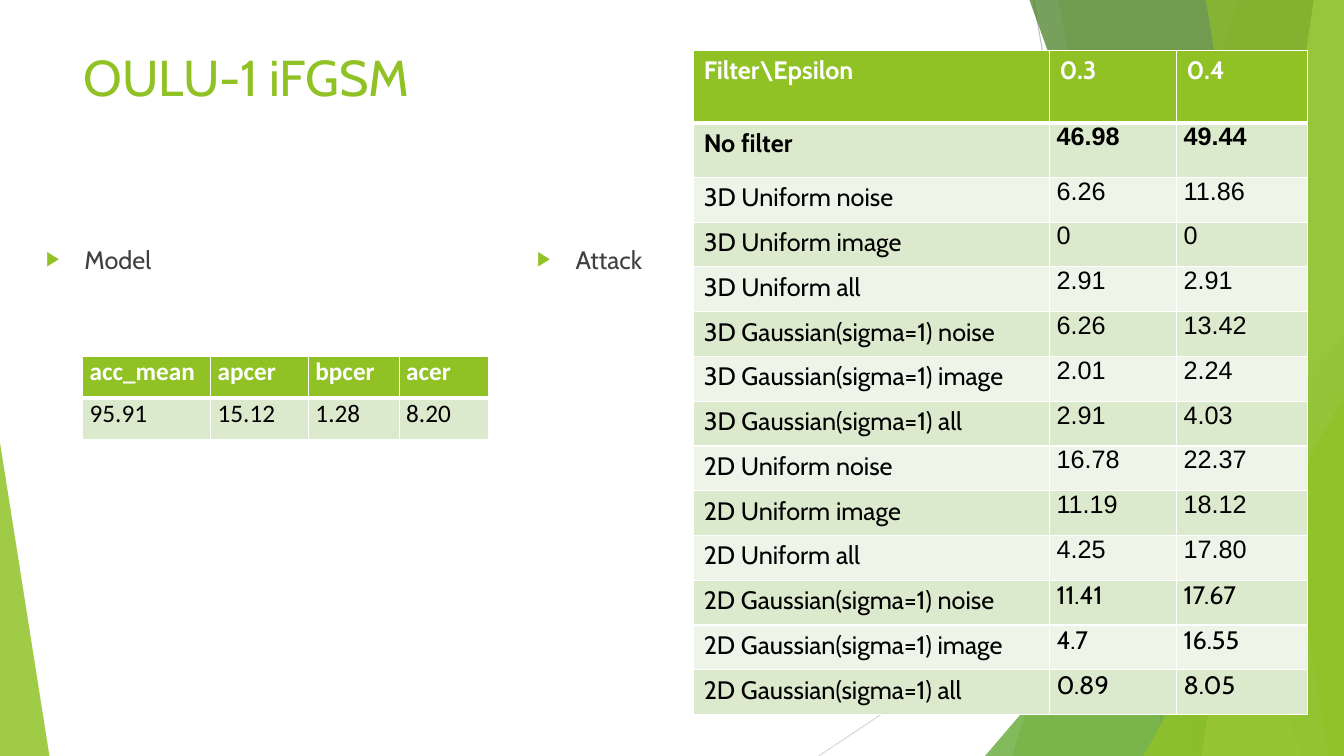
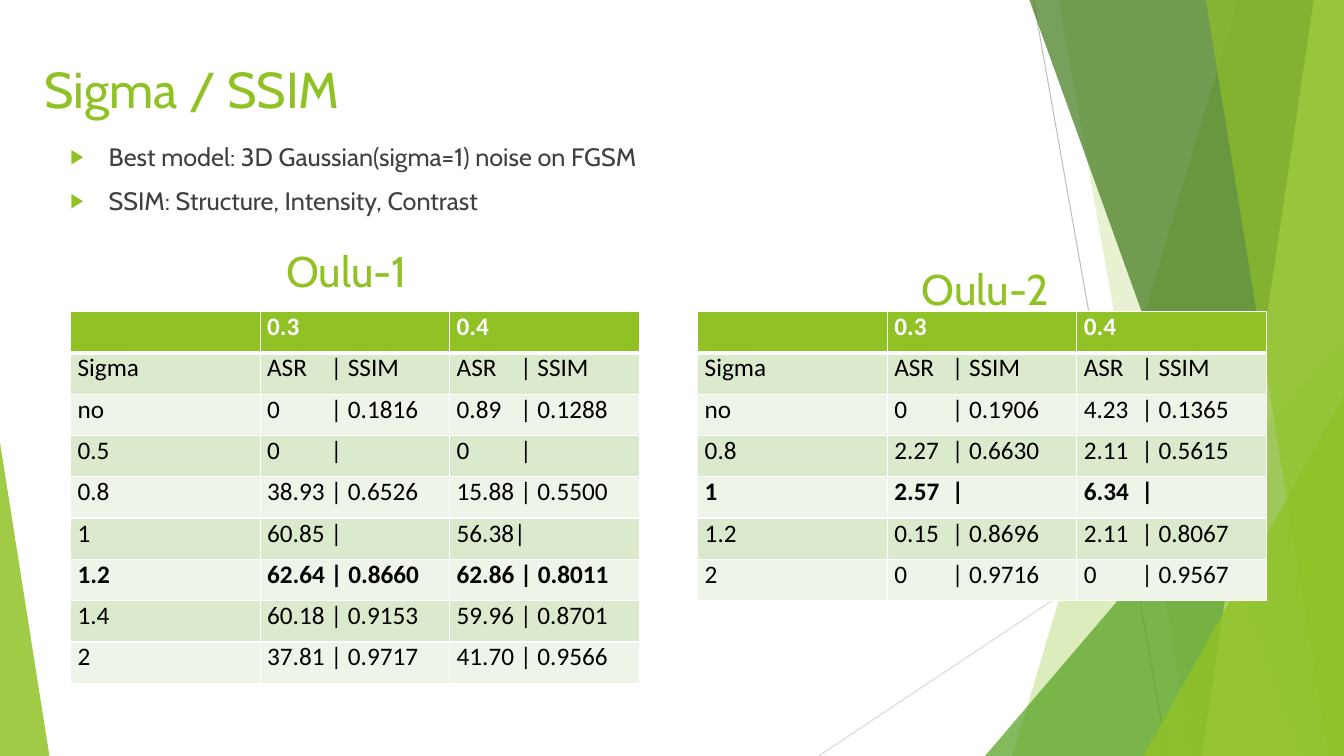
from lxml.etree import SubElement
from pptx import Presentation
from pptx.dml.color import RGBColor
from pptx.enum.shapes import MSO_CONNECTOR, MSO_SHAPE
from pptx.enum.text import MSO_ANCHOR, MSO_AUTO_SIZE, PP_ALIGN
from pptx.oxml.ns import qn
from pptx.util import Inches, Pt

STRAIGHT = MSO_CONNECTOR.STRAIGHT
TRIANGLE = MSO_SHAPE.ISOSCELES_TRIANGLE
TOP = MSO_ANCHOR.TOP
LEFT = PP_ALIGN.LEFT
NO_FIT = MSO_AUTO_SIZE.NONE

SLIDE_WIDTH, SLIDE_HEIGHT = 13.33, 7.5
TITLE_ONLY = 5
HEADING_FONT, TABLE_FONT, NUMBER_FONT = "Cabin", "Calibri", "Arial"
COLORS = {
    "accent": "90C226",
    "leaf": "54A021",
    "forest": "3F7819",
    "lime": "C0E474",
    "text": "404040",
    "black": "000000",
    "white": "FFFFFF",
    "band_dark": "DBE9CD",
    "band_light": "EEF4E8",
    "line_dark": "BFBFBF",
    "line_light": "D9D9D9",
}
ROOMY, TIGHT = (0.1, 0.05), (0.07, 0)

FILTER_ROWS = [
    ("Filter\\Epsilon", "0.3", "0.4"),
    ("No filter", "46.98", "49.44"),
    ("3D Uniform noise", "6.26", "11.86"),
    ("3D Uniform image", "0", "0"),
    ("3D Uniform all", "2.91", "2.91"),
    ("3D Gaussian(sigma=1) noise", "6.26", "13.42"),
    ("3D Gaussian(sigma=1) image", "2.01", "2.24"),
    ("3D Gaussian(sigma=1) all", "2.91", "4.03"),
    ("2D Uniform noise", "16.78", "22.37"),
    ("2D Uniform image", "11.19", "18.12"),
    ("2D Uniform all", "4.25", "17.80"),
    ("2D Gaussian(sigma=1) noise", "11.41", "17.67"),
    ("2D Gaussian(sigma=1) image", "4.7", "16.55"),
    ("2D Gaussian(sigma=1) all", "0.89", "8.05"),
]
MODEL_ROWS = [
    ("acc_mean", "apcer", "bpcer", "acer"),
    ("95.91", "15.12", "1.28", "8.20"),
]
SIGMA_HEAD = [("", "0.3", "0.4"), ("Sigma", "ASR\t| SSIM", "ASR\t| SSIM")]
OULU_1_ROWS = SIGMA_HEAD + [
    ("no", "0\t| 0.1816", "0.89\t| 0.1288"),
    ("0.5", "0\t|", "0\t|"),
    ("0.8", "38.93\t| 0.6526", "15.88\t| 0.5500"),
    ("1", "60.85\t|", "56.38|"),
    ("1.2", "62.64\t| 0.8660", "62.86\t| 0.8011"),
    ("1.4", "60.18\t| 0.9153", "59.96\t| 0.8701"),
    ("2", "37.81\t| 0.9717", "41.70\t| 0.9566"),
]
OULU_2_ROWS = SIGMA_HEAD + [
    ("no", "0\t| 0.1906", "4.23\t| 0.1365"),
    ("0.8", "2.27\t| 0.6630", "2.11\t| 0.5615"),
    ("1", "2.57\t|", "6.34\t|"),
    ("1.2", "0.15\t| 0.8696", "2.11\t| 0.8067"),
    ("2", "0\t| 0.9716", "0\t| 0.9567"),
]


def color(name):
    return RGBColor.from_string(COLORS[name])


def inches(box):
    return [Inches(length) for length in box]


def add_span(para, text, size, font, ink, bold=False):
    span = para.add_run()
    span.text = text
    span.font.size = Pt(size)
    span.font.name = font
    span.font.bold = bold
    span.font.color.rgb = color(ink)


def paint(shape, ink, opacity):
    shape.shadow.inherit = False
    shape.fill.solid()
    shape.fill.fore_color.rgb = color(ink)
    shape.line.fill.background()
    fill_color = next(shape.element.iter(qn("a:srgbClr")))
    SubElement(fill_color, qn("a:alpha")).set("val", str(opacity * 1000))


def draw_line(group, start, end, ink):
    line = group.shapes.add_connector(STRAIGHT, *inches(start + end))
    line.line.width = Pt(0.75)
    line.line.color.rgb = color(ink)
    SubElement(line.element.spPr, qn("a:effectLst"))


def draw_slab(group, top_x, bottom_x, ink, opacity):
    outline = group.shapes.build_freeform(Inches(top_x), 0)
    corners = [(SLIDE_WIDTH, 0), (SLIDE_WIDTH, SLIDE_HEIGHT), (bottom_x, SLIDE_HEIGHT)]
    outline.add_line_segments([inches(corner) for corner in corners], close=True)
    paint(outline.convert_to_shape(), ink, opacity)


def draw_triangle(group, left, top, width, apex, ink, opacity):
    box = inches((left, top, width, SLIDE_HEIGHT - top))
    triangle = group.shapes.add_shape(TRIANGLE, *box)
    triangle.adjustments[0] = apex
    paint(triangle, ink, opacity)


def decorate_layout(layout, page):
    for holder in list(layout.placeholders)[1:]:
        holder.element.getparent().remove(holder.element)
    group = page.shapes.add_group_shape()
    draw_line(group, (10.25, 0), (11.58, SLIDE_HEIGHT), "line_dark")
    draw_line(group, (SLIDE_WIDTH, 4.03), (8.12, SLIDE_HEIGHT), "line_light")
    draw_slab(group, 12.28, 10.04, "accent", 30)
    draw_slab(group, 10.5, 11.83, "accent", 20)
    draw_triangle(group, 9.77, 3.33, 3.56, 1, "leaf", 72)
    draw_slab(group, 10.21, 12.91, "forest", 70)
    draw_slab(group, 13.03, 11.92, "lime", 70)
    draw_slab(group, 11.96, 13.18, "accent", 65)
    draw_triangle(group, 11.34, 3.93, 1.99, 1, "accent", 80)
    draw_triangle(group, 0, 4.39, 0.49, 0, "accent", 85)
    layout.shapes.element.insert(2, group.element)


def set_title(page, box, text):
    title = page.shapes.title
    title.left, title.top, title.width, title.height = inches(box)
    frame = title.text_frame
    frame.auto_size = NO_FIT
    frame.vertical_anchor = TOP
    para = frame.paragraphs[0]
    para.alignment = LEFT
    add_span(para, text, 36, HEADING_FONT, "accent")


def add_text_frame(page, box):
    frame = page.shapes.add_textbox(*inches(box)).text_frame
    frame.word_wrap = True
    return frame


def add_label(page, box, text):
    para = add_text_frame(page, box).paragraphs[0]
    add_span(para, text, 30.6, HEADING_FONT, "accent")


def add_bullets(page, box, lines):
    frame = add_text_frame(page, box)
    for index, text in enumerate(lines):
        para = frame.add_paragraph() if index else frame.paragraphs[0]
        para.space_before = Pt(10)
        props = para._p.get_or_add_pPr()
        props.set("marL", str(Inches(0.38)))
        props.set("indent", str(-Inches(0.38)))
        bullet_color = SubElement(props, qn("a:buClr"))
        SubElement(bullet_color, qn("a:srgbClr")).set("val", COLORS["accent"])
        SubElement(props, qn("a:buSzPct")).set("val", "80000")
        SubElement(props, qn("a:buFont")).set("typeface", NUMBER_FONT)
        SubElement(props, qn("a:buChar")).set("char", "▶")
        add_span(para, text, 18, HEADING_FONT, "text")


def set_borders(cell, row):
    props = cell._tc.get_or_add_tcPr()
    widths = {"lnL": 1, "lnR": 1, "lnT": 3 if row == 1 else 1, "lnB": 1 if row else 3}
    for index, (side, width) in enumerate(widths.items()):
        line = SubElement(props, qn(f"a:{side}"))
        line.set("w", str(Pt(width)))
        fill = SubElement(line, qn("a:solidFill"))
        SubElement(fill, qn("a:srgbClr")).set("val", COLORS["white"])
        props.insert(index, line)


def add_tab_stop(para, position):
    tabs = SubElement(para._p.get_or_add_pPr(), qn("a:tabLst"))
    stop = SubElement(tabs, qn("a:tab"))
    stop.set("pos", str(Inches(position)))
    stop.set("algn", "l")


def table_style(row, column):
    return TABLE_FONT, TIGHT


def filter_style(row, column):
    if row == 0 or column == 0:
        return HEADING_FONT, ROOMY
    return (HEADING_FONT if row > 10 else NUMBER_FONT), TIGHT


def add_grid(page, corner, widths, heights, rows, style=table_style, bold_row=0, tab=None):
    box = inches((*corner, sum(widths), sum(heights)))
    grid = page.shapes.add_table(len(rows), len(widths), *box).table
    grid.horz_banding = False
    for column, width in zip(grid.columns, widths):
        column.width = Inches(width)
    for row, (values, height) in enumerate(zip(rows, heights)):
        grid.rows[row].height = Inches(height)
        band = "band_dark" if row % 2 else "band_light"
        for column, text in enumerate(values):
            cell = grid.cell(row, column)
            font, (side, edge) = style(row, column)
            cell.margin_left = cell.margin_right = Inches(side)
            cell.margin_top = cell.margin_bottom = Inches(edge)
            cell.fill.solid()
            cell.fill.fore_color.rgb = color(band if row else "accent")
            set_borders(cell, row)
            para = cell.text_frame.paragraphs[0]
            if "\t" in text:
                add_tab_stop(para, tab)
            if text:
                ink = "black" if row else "white"
                add_span(para, text, 18, font, ink, row in (0, bold_row))


def add_sigma_table(page, left, rows, bold_row, tab):
    add_grid(page, (left, 3.09), [1.88] * 3, [0.41] * len(rows), rows,
             bold_row=bold_row, tab=tab)


def build_attack_page(page):
    set_title(page, (0.73, 0.41, 9.4, 1.44), "OULU-1 iFGSM")
    add_bullets(page, (0.36, 2.37, 1.77, 0.39), ["Model"])
    add_bullets(page, (5.23, 2.37, 1.5, 0.39), ["Attack"])
    body_height = (6.59 - 0.72 - 0.54) / 12
    add_grid(page, (6.88, 0.5), [3.53, 1.26, 1.3], [0.72, 0.54] + [body_height] * 12,
             FILTER_ROWS, style=filter_style, bold_row=1)
    add_grid(page, (0.82, 3.54), [1.27, 0.97, 0.9, 0.89], [0.41] * 2, MODEL_ROWS)


def build_sigma_page(page):
    set_title(page, (0.34, 0.53, 9.4, 0.72), "Sigma / SSIM")
    add_bullets(page, (0.6, 1.35, 6.19, 0.84), [
        "Best model: 3D Gaussian(sigma=1) noise on FGSM",
        "SSIM: Structure, Intensity, Contrast",
    ])
    add_sigma_table(page, 0.7, OULU_1_ROWS, 6, 0.63)
    add_label(page, (2.74, 2.38, 1.55, 0.72), "Oulu-1")
    add_sigma_table(page, 6.92, OULU_2_ROWS, 4, 0.57)
    add_label(page, (9.04, 2.56, 1.55, 0.72), "Oulu-2")


def main():
    deck = Presentation()
    deck.slide_width, deck.slide_height = inches((SLIDE_WIDTH, SLIDE_HEIGHT))
    layout = deck.slide_layouts[TITLE_ONLY]
    pages = [deck.slides.add_slide(layout) for _ in range(2)]
    decorate_layout(layout, pages[0])
    build_attack_page(pages[0])
    build_sigma_page(pages[1])
    deck.save("out.pptx")


if __name__ == "__main__":
    main()
